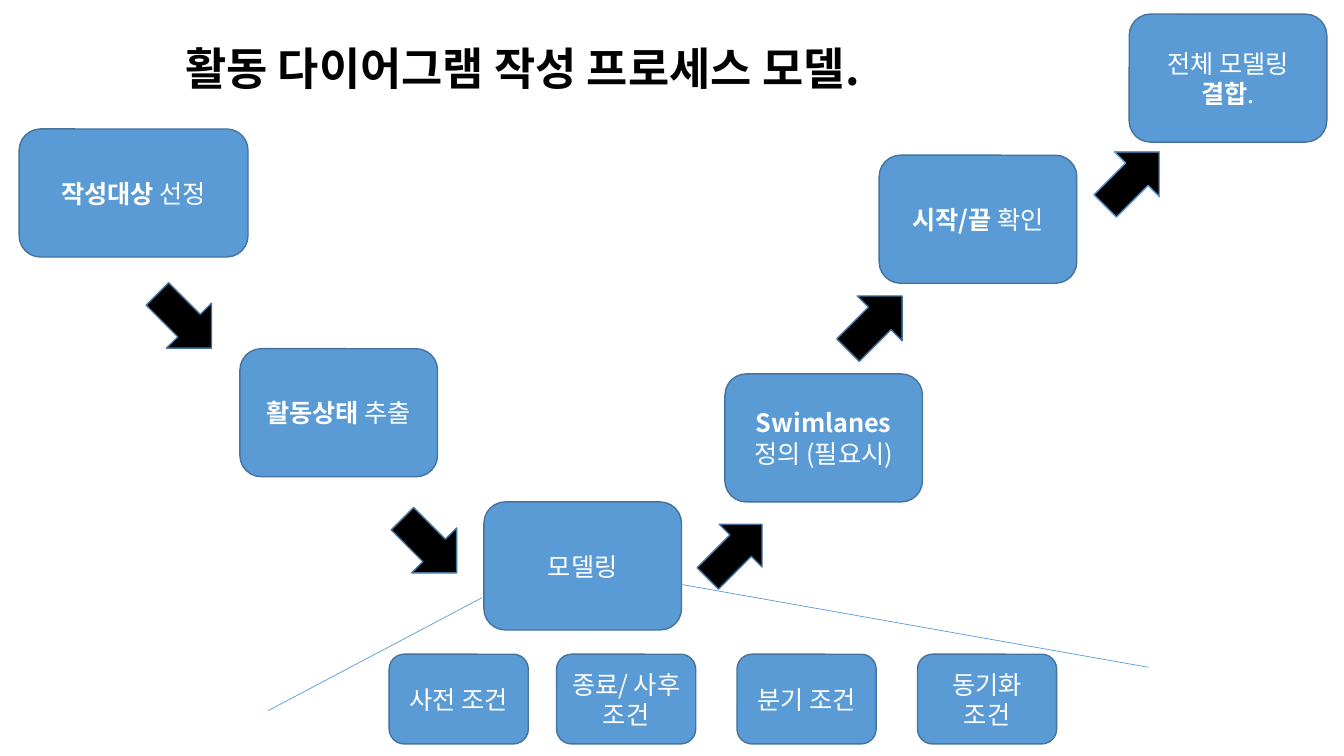
from lxml import etree
from pptx import Presentation
from pptx.dml.color import RGBColor
from pptx.enum.shapes import MSO_CONNECTOR, MSO_SHAPE
from pptx.enum.text import MSO_ANCHOR, PP_ALIGN
from pptx.oxml.ns import qn
from pptx.util import Inches, Pt

FONT = "Noto Sans CJK KR"
BLUE, OUTLINE, BLACK, WHITE = "5B9BD5", "43739E", "000000", "FFFFFF"


def color(value):
    return RGBColor.from_string(value)


def write_runs(paragraph, runs, size, text_color):
    for text, bold in runs:
        run = paragraph.add_run()
        run.text = text
        run.font.bold = bold
    font = paragraph.font
    font.size = Pt(size)
    font.color.rgb = color(text_color)
    font.name = FONT
    latin = paragraph._p.pPr.find(qn("a:defRPr")).find(qn("a:latin"))
    east_asian = etree.Element(qn("a:ea"), typeface=FONT)
    latin.addnext(east_asian)


presentation = Presentation()
presentation.slide_width = Inches(13.33)
presentation.slide_height = Inches(7.5)
slide = presentation.slides.add_slide(presentation.slide_layouts[6])

title = slide.shapes.add_textbox(Inches(1.74), Inches(0.36), Inches(8.94), Inches(0.64))
title.text_frame.word_wrap = False
write_runs(title.text_frame.paragraphs[0], [("활동 다이어그램 작성 프로세스 모델.", True)], 32, BLACK)

steps = [
    (0.19, 1.28, 2.27, [("작성대상", True), (" 선정", False)]),
    (2.38, 3.46, 1.96, [("활동상태", True), (" 추출", False)]),
    (4.8, 4.98, 1.96, [("모델링", False)]),
    (7.19, 3.71, 1.96, [("Swimlanes", True), (" 정의 (필요시)", False)]),
    (8.72, 1.54, 1.96, [("시작/끝", True), (" 확인", False)]),
    (11.2, 0.14, 1.96, [("전체 모델링 ", False), ("결합", True), (".", False)]),
]
conditions = [(3.86, "사전 조건"), (5.52, "종료/ 사후 조건"), (7.31, "분기 조건"), (9.1, "동기화 조건")]
boxes = [(left, top, width, 1.27, runs) for left, top, width, runs in steps]
boxes += [(left, 6.49, 1.38, 0.89, [(text, False)]) for left, text in conditions]

for left, top, width, height, runs in boxes:
    box = slide.shapes.add_shape(
        MSO_SHAPE.ROUNDED_RECTANGLE, Inches(left), Inches(top), Inches(width), Inches(height))
    box.shadow.inherit = False
    box.fill.solid()
    box.fill.fore_color.rgb = color(BLUE)
    box.line.color.rgb = color(OUTLINE)
    box.line.width = Pt(1)
    box.text_frame.word_wrap = True
    box.text_frame.vertical_anchor = MSO_ANCHOR.MIDDLE
    paragraph = box.text_frame.paragraphs[0]
    paragraph.alignment = PP_ALIGN.CENTER
    write_runs(paragraph, runs, 18, WHITE)

arrows = [
    (1.45, 2.87, 0.63, 45, OUTLINE),
    (3.88, 5.1, 0.63, 45, OUTLINE),
    (6.91, 5.17, 0.6, 315, OUTLINE),
    (8.3, 2.89, 0.63, 315, OUTLINE),
    (10.85, 1.46, 0.63, 315, BLUE),
]
for left, top, height, rotation, line_color in arrows:
    arrow = slide.shapes.add_shape(
        MSO_SHAPE.RIGHT_ARROW, Inches(left), Inches(top), Inches(0.76), Inches(height))
    arrow.rotation = rotation
    arrow.shadow.inherit = False
    arrow.fill.solid()
    arrow.fill.fore_color.rgb = color(BLACK)
    arrow.line.color.rgb = color(line_color)
    arrow.line.width = Pt(1)

for start_x, start_y, end_x, end_y in [(4.78, 5.93, 2.66, 7.05), (6.77, 5.8, 11.39, 6.62)]:
    branch = slide.shapes.add_connector(
        MSO_CONNECTOR.STRAIGHT, Inches(start_x), Inches(start_y), Inches(end_x), Inches(end_y))
    branch.line.color.rgb = color(BLUE)
    branch.line.width = Pt(0.5)
    etree.SubElement(branch._element.spPr, qn("a:effectLst"))

presentation.save("out.pptx")
